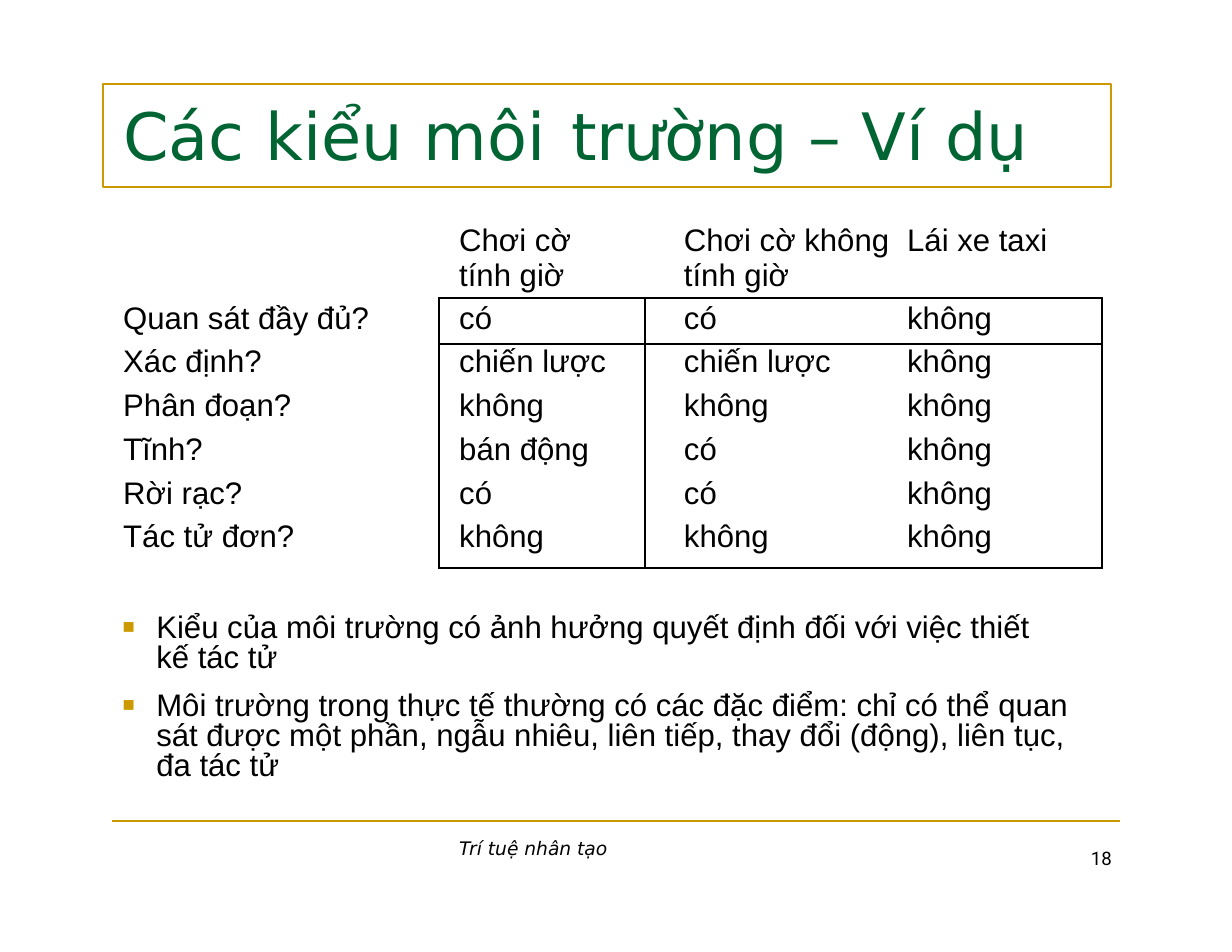
from lxml.etree import SubElement as Sub
from pptx import Presentation
from pptx.dml.color import RGBColor as RGB
from pptx.enum.shapes import MSO_CONNECTOR as Conn
from pptx.oxml.ns import qn
from pptx.util import Pt

HUES = {"gold": "CC9900", "green": "006533", "black": "000000"}
ROWS = [
    ["", "Chơi cờ\ntính giờ", "Chơi cờ không\ntính giờ", "Lái xe taxi"],
    ["Quan sát đầy đủ?", "có", "có", "không"],
    ["Xác định?", "chiến lược", "chiến lược", "không"],
    ["Phân đoạn?", "không", "không", "không"],
    ["Tĩnh?", "bán động", "có", "không"],
    ["Rời rạc?", "có", "có", "không"],
    ["Tác tử đơn?", "không", "không", "không"],
]
WIDTHS = [205.2, 132.5, 162.7, 131]
HEIGHTS = [47.5, 29.5] + [28.1] * 4 + [31.9]
INDENTS = [2.2, 13, 25, 5.8]
RULES = {"row": (1, 2, 7), "col": (1, 2, 4)}
POINTS = [
    "Kiểu của môi trường có ảnh hưởng quyết định đối với việc thiết kế tác tử",
    "Môi trường trong thực tế thường có các đặc điểm: chỉ có thể quan sát được "
    "một phần, ngẫu nhiêu, liên tiếp, thay đổi (động), liên tục, đa tác tử",
]


def style(para, size, face, hue="black", left=0, hang=0, right=0, before=0, lead=None):
    """Format a paragraph and its runs."""
    para.space_before = Pt(before)
    if lead:
        para.line_spacing = lead
    props = para._p.get_or_add_pPr()
    for key, value in (("marL", left), ("marR", right), ("indent", hang)):
        props.set(key, str(Pt(value)))
    for run in para.runs:
        run.font.size = Pt(size)
        run.font.name = face
        run.font.color.rgb = RGB.from_string(HUES[hue])
    return props


def add_text(slide, text, left, top, width, height, inset=0, wrap=True):
    """Add a text box and return it."""
    box = slide.shapes.add_textbox(Pt(left), Pt(top), Pt(width), Pt(height))
    frame = box.text_frame
    frame.margin_left = frame.margin_right = frame.margin_bottom = 0
    frame.margin_top = Pt(inset)
    frame.word_wrap = wrap
    frame.text = text
    return box


def add_title(slide):
    """Add the framed title with its tab stop."""
    box = add_text(slide, "Các kiểu môi\ttrường – Ví dụ", 66.2, 54, 648, 66.2, 7.2)
    box.line.color.rgb = RGB.from_string(HUES["gold"])
    box.line.width = Pt(1.5)
    para = box.text_frame.paragraphs[0]
    props = style(para, 42, "DejaVu Sans", "green", left=13, before=6.8)
    tabs = Sub(props, qn("a:tabLst"))
    Sub(tabs, qn("a:tab"), pos=str(Pt(299.5)), algn="l")


def set_edges(cell, row, col):
    """Draw the ruled sides of a cell and clear the others."""
    sides = {
        "L": row > 0 and col in RULES["col"],
        "R": row > 0 and col + 1 in RULES["col"],
        "T": col > 0 and row in RULES["row"],
        "B": col > 0 and row + 1 in RULES["row"],
    }
    props = cell._tc.get_or_add_tcPr()
    for side, ruled in sides.items():
        line = Sub(props, qn(f"a:ln{side}"), w=str(Pt(1.5)))
        if ruled:
            fill = Sub(line, qn("a:solidFill"))
            Sub(fill, qn("a:srgbClr"), val=HUES["black"])
        else:
            Sub(line, qn("a:noFill"))


def fill_cell(cell, text, row, col):
    """Write and format one table cell."""
    cell.margin_left = cell.margin_right = cell.margin_bottom = 0
    cell.margin_top = Pt((0, 2.2)[row] if row < 2 else 0.7)
    set_edges(cell, row, col)
    cell.fill.background()
    cell.text_frame.text = text
    before = (0, 2.4)[row] if row < 2 else 1
    lead = None if row else Pt(22.1)
    for para in cell.text_frame.paragraphs:
        style(para, 20, "Arial", left=INDENTS[col], before=before, lead=lead)


def add_grid(slide):
    """Add the table of environments."""
    frame = slide.shapes.add_table(
        len(ROWS), len(WIDTHS), Pt(77), Pt(144), Pt(sum(WIDTHS)), Pt(sum(HEIGHTS)))
    table = frame.table
    table.first_row = table.horz_banding = False
    for col, width in enumerate(WIDTHS):
        table.columns[col].width = Pt(width)
    for row, texts in enumerate(ROWS):
        table.rows[row].height = Pt(HEIGHTS[row])
        for col, text in enumerate(texts):
            fill_cell(table.cell(row, col), text, row, col)


def add_points(slide):
    """Add the bulleted remarks."""
    box = add_text(slide, "\n".join(POINTS), 78.5, 389.5, 633.6, 114.5, 5.8)
    looks = [(36, 5.8, 0.8), (18, 11.8, Pt(19.2))]
    for para, (right, before, lead) in zip(box.text_frame.paragraphs, looks):
        props = style(para, 20, "Arial", left=22, hang=-21.6,
                      right=right, before=before, lead=lead)
        Sub(Sub(props, qn("a:buClr")), qn("a:srgbClr"), val=HUES["gold"])
        Sub(props, qn("a:buSzPct"), val="65000")
        Sub(props, qn("a:buFont"), typeface="Arial")
        Sub(props, qn("a:buChar"), char="■")


def add_footer(slide):
    """Add the footer rule, course name and page number."""
    rule = slide.shapes.add_connector(Conn.STRAIGHT, Pt(72), Pt(527.8), Pt(720), Pt(527.8))
    rule.line.color.rgb = RGB.from_string(HUES["gold"])
    rule.line.width = Pt(1.5)
    Sub(rule._element.spPr, qn("a:effectLst"))
    name = add_text(slide, "Trí tuệ nhân tạo", 294.5, 537.1, 99.4, 16.6, 0.7, wrap=False)
    para = name.text_frame.paragraphs[0]
    style(para, 12, "DejaVu Sans", left=0.7, before=1.1)
    para.runs[0].font.italic = True
    page = add_text(slide, "18", 698.4, 545, 18, 15.8, wrap=False)
    style(page.text_frame.paragraphs[0], 12, "Roboto", left=2.9, lead=Pt(13.8))


def main():
    """Build and save the slide."""
    deck = Presentation()
    deck.slide_width, deck.slide_height = Pt(792), Pt(612)
    slide = deck.slides.add_slide(deck.slide_layouts[6])
    add_title(slide)
    add_grid(slide)
    add_points(slide)
    add_footer(slide)
    deck.save("out.pptx")


if __name__ == "__main__":
    main()
